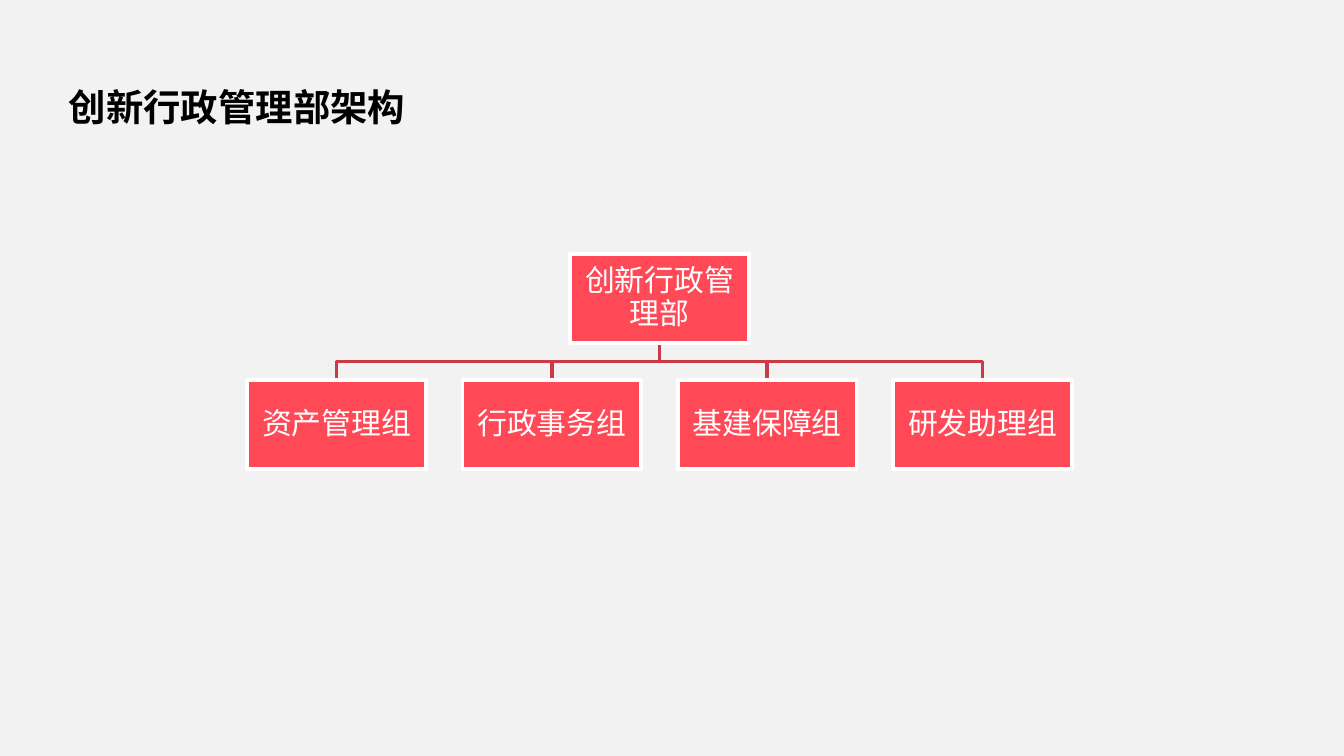
from lxml import etree
from pptx import Presentation
from pptx.dml.color import RGBColor
from pptx.enum.shapes import MSO_SHAPE
from pptx.enum.text import MSO_ANCHOR, PP_ALIGN
from pptx.oxml.ns import qn
from pptx.util import Cm, Pt

RECT = MSO_SHAPE.RECTANGLE
MIDDLE = MSO_ANCHOR.MIDDLE
CENTER = PP_ALIGN.CENTER

# Content
TITLE = "创新行政管理部架构"
ROOT = "创新行政管理部"
TEAMS = ["资产管理组", "行政事务组", "基建保障组", "研发助理组"]

# Style and layout in cm
FONT = "Noto Sans CJK SC"
COLORS = {"back": "F2F2F2", "title": "000000", "box": "FF4957",
          "edge": "FFFFFF", "link": "CC3A46", "text": "FFFFFF"}
WIDE, HIGH = 3.38, 1.68
LEFT, STEP = 4.67, 4.07
ROOT_TOP, TEAM_TOP = 4.8, 7.19


def color(name):
    return RGBColor.from_string(COLORS[name])


def write(frame, text, size, tint, inset, bold=False):
    frame.text = text
    frame.word_wrap = True
    frame.margin_left = frame.margin_right = Cm(inset)
    frame.margin_top = frame.margin_bottom = Cm(inset)
    font = frame.paragraphs[0].runs[0].font
    font.name, font.size, font.bold = FONT, Pt(size), bold
    font.color.rgb = color(tint)
    # Chinese text takes its face from the East Asian font
    props = frame.paragraphs[0].runs[0]._r.get_or_add_rPr()
    etree.SubElement(props, qn("a:ea"), typeface=FONT)


def add_box(text, left, top):
    box = slide.shapes.add_shape(RECT, Cm(left), Cm(top), Cm(WIDE), Cm(HIGH))
    box.shadow.inherit = False
    box.fill.solid()
    box.fill.fore_color.rgb = color("box")
    box.line.color.rgb = color("edge")
    box.line.width = Pt(2)
    frame = box.text_frame
    write(frame, text, 16, "text", 0.03)
    frame.vertical_anchor = MIDDLE
    frame.paragraphs[0].alignment = CENTER
    frame.paragraphs[0].line_spacing = 0.9


def add_link(start, end):
    foot = ROOT_TOP + HIGH
    bend = (foot + TEAM_TOP) / 2
    path = slide.shapes.build_freeform(Cm(start), Cm(foot))
    points = [(start, bend), (end, bend), (end, TEAM_TOP)]
    path.add_line_segments([(Cm(x), Cm(y)) for x, y in points], close=False)
    link = path.convert_to_shape()
    link.shadow.inherit = False
    link.fill.background()
    link.line.color.rgb = color("link")
    link.line.width = Pt(2)


# Slide
deck = Presentation()
deck.slide_width, deck.slide_height = Cm(25.4), Cm(14.29)
slide = deck.slides.add_slide(deck.slide_layouts[6])
slide.background.fill.solid()
slide.background.fill.fore_color.rgb = color("back")

# Title
title = slide.shapes.add_textbox(Cm(1.3), Cm(1.6), Cm(6.6), Cm(0.86))
write(title.text_frame, TITLE, 20, "title", 0, bold=True)

# Links behind the boxes
lefts = [LEFT + i * STEP for i in range(len(TEAMS))]
mid = (lefts[0] + lefts[-1]) / 2
for left in lefts:
    add_link(mid + WIDE / 2, left + WIDE / 2)

# Boxes
add_box(ROOT, mid, ROOT_TOP)
for team, left in zip(TEAMS, lefts):
    add_box(team, left, TEAM_TOP)

deck.save("out.pptx")
